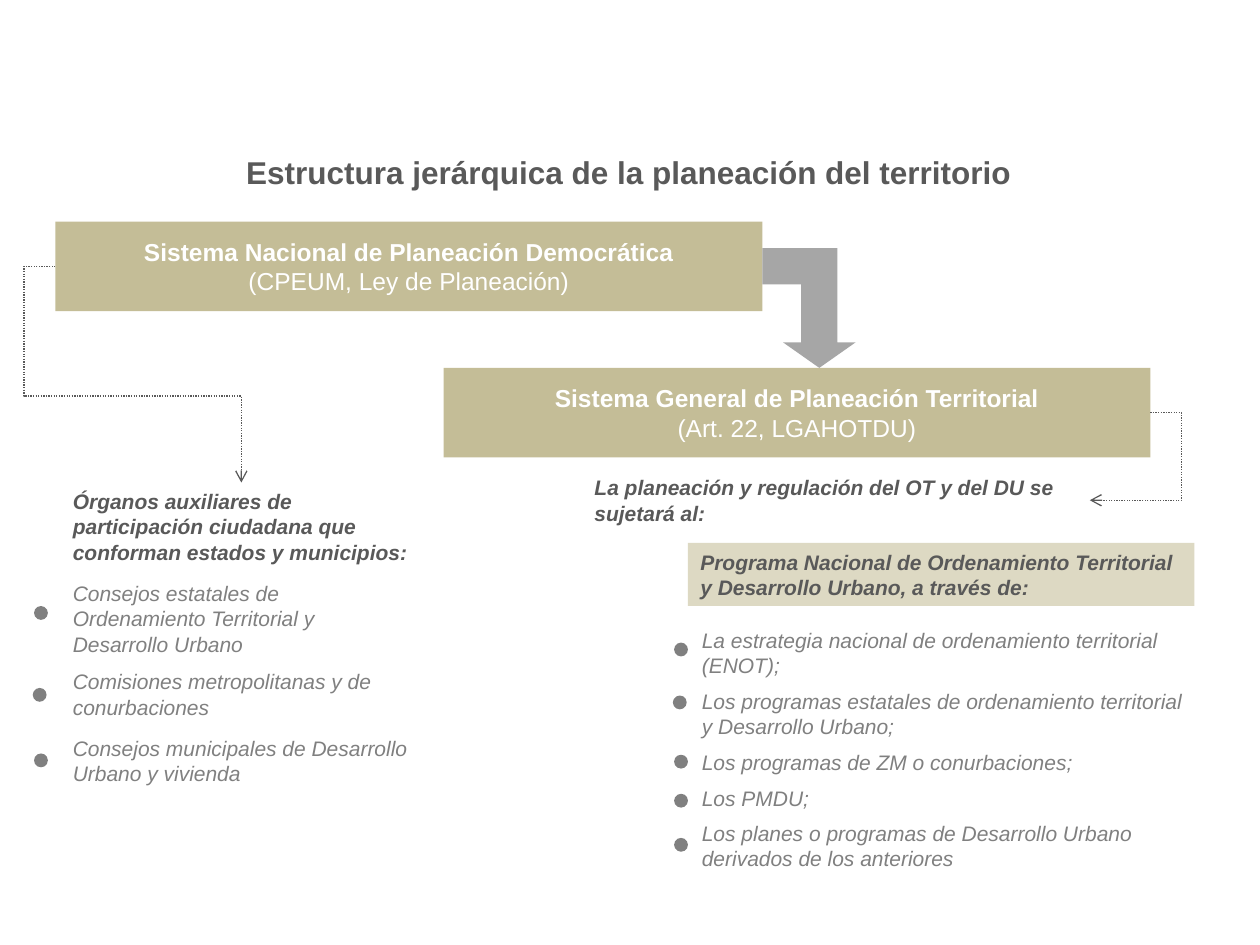
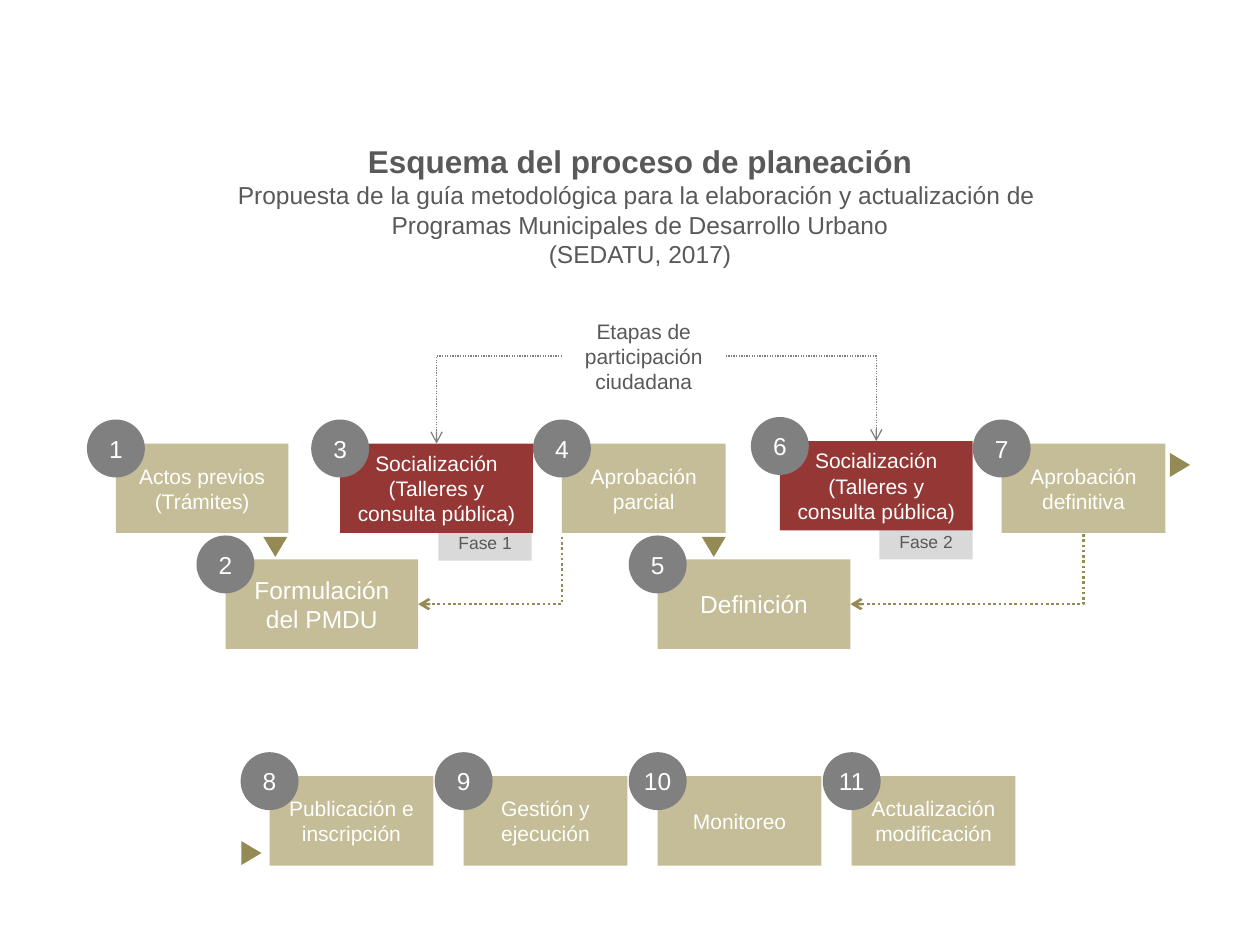
from lxml.etree import SubElement
from pptx import Presentation
from pptx.dml.color import RGBColor
from pptx.enum.dml import MSO_LINE
from pptx.enum.shapes import MSO_CONNECTOR, MSO_SHAPE
from pptx.enum.text import MSO_ANCHOR, MSO_AUTO_SIZE, PP_ALIGN
from pptx.oxml.ns import qn
from pptx.util import Inches, Pt

WHITE = RGBColor(0xFF, 0xFF, 0xFF)
SAND = RGBColor(0xC4, 0xBD, 0x97)
PALE = RGBColor(0xDD, 0xD9, 0xC3)
OLIVE = RGBColor(0x94, 0x8A, 0x54)
RED = RGBColor(0x95, 0x37, 0x35)
DARK = RGBColor(0x59, 0x59, 0x59)
GREY = RGBColor(0x80, 0x80, 0x80)
MID = RGBColor(0xA6, 0xA6, 0xA6)
LIGHT = RGBColor(0xD9, 0xD9, 0xD9)

FONT = "Arial"
BOX_H = 0.71  # height of all process boxes
DISC = 0.46   # number badges
DOT = 0.11    # list markers


# Text
def write(frame, lines, size, color, bold=False, italic=False,
          align=PP_ALIGN.LEFT, after=0):
    """Fill a frame; a line is a string or (string, size, bold)."""
    frame.word_wrap = True
    for i, line in enumerate(lines):
        text, pts, heavy = (line, size, bold) if isinstance(line, str) else line
        para = frame.paragraphs[0] if i == 0 else frame.add_paragraph()
        para.alignment = align
        para.space_before, para.space_after = Pt(0), Pt(after)
        run = para.add_run()
        run.text = text
        font = run.font
        font.name, font.size = FONT, Pt(pts)
        font.bold, font.italic = heavy, italic
        font.color.rgb = color


def place(shape, x, y, w, h):
    shape.left, shape.top = Inches(x), Inches(y)
    shape.width, shape.height = Inches(w), Inches(h)


def add_title(slide, x, y, w, h, lines):
    title = slide.shapes.title
    place(title, x, y, w, h)
    frame = title.text_frame
    frame.auto_size = MSO_AUTO_SIZE.NONE
    frame.vertical_anchor = MSO_ANCHOR.MIDDLE
    write(frame, lines, 18, DARK, bold=True, align=PP_ALIGN.CENTER)


def add_list(slide, x, y, w, h, lines):
    body = slide.placeholders[1]
    place(body, x, y, w, h)
    frame = body.text_frame
    frame.auto_size = MSO_AUTO_SIZE.NONE
    write(frame, lines, 12, GREY, italic=True, after=6)
    for para in frame.paragraphs:  # the markers are drawn as discs
        props = para._p.get_or_add_pPr()
        props.set("marL", "0")
        props.set("indent", "0")
        SubElement(props, qn("a:buNone"))


def add_note(slide, x, y, w, h, text, color, bold=False):
    note = slide.shapes.add_textbox(Inches(x), Inches(y), Inches(w), Inches(h))
    write(note.text_frame, [text], 12, color, bold=bold, italic=True)
    return note


# Shapes
def add_form(slide, kind, x, y, w, h, fill):
    form = slide.shapes.add_shape(
        kind, Inches(x), Inches(y), Inches(w), Inches(h))
    form.shadow.inherit = False
    form.fill.solid()
    form.fill.fore_color.rgb = fill
    form.line.fill.background()
    return form


def add_box(slide, x, y, w, h, fill, lines, size=12, color=WHITE):
    box = add_form(slide, MSO_SHAPE.RECTANGLE, x, y, w, h, fill)
    box.text_frame.vertical_anchor = MSO_ANCHOR.MIDDLE
    write(box.text_frame, lines, size, color, align=PP_ALIGN.CENTER)
    return box


def add_step(slide, num, x, y, w, lines, fill=SAND, size=12):
    """A process box with its number on the top left corner."""
    box = add_box(slide, x, y, w, BOX_H, fill, lines, size)
    disc = add_form(slide, MSO_SHAPE.OVAL, x - DISC / 2, y - 0.19,
                    DISC, DISC, GREY)
    frame = disc.text_frame
    frame.margin_left = frame.margin_right = 0
    frame.vertical_anchor = MSO_ANCHOR.MIDDLE
    write(frame, [str(num)], 14, WHITE, align=PP_ALIGN.CENTER)
    return box


def add_dots(slide, spots):
    for x, y in spots:
        add_form(slide, MSO_SHAPE.OVAL, x, y, DOT, DOT, GREY)


def add_wedge(slide, x, y, turn):
    wedge = add_form(slide, MSO_SHAPE.ISOSCELES_TRIANGLE, x, y,
                     0.19, 0.16, OLIVE)
    wedge.rotation = turn


# Bent connectors
def add_bend(slide, start, stop, color, width, bends, adjs=(),
             begin=None, end=None, tip="a:tailEnd"):
    """Dotted elbow; begin and end are (shape, site) pairs."""
    line = slide.shapes.add_connector(
        MSO_CONNECTOR.ELBOW, *[Inches(v) for v in (*start, *stop)])
    if begin:
        line.begin_connect(*begin)
    if end:
        line.end_connect(*end)
    line.line.color.rgb = color
    line.line.width = Pt(width)
    line.line.dash_style = MSO_LINE.ROUND_DOT
    props = line._element.spPr
    SubElement(props.find(qn("a:ln")), qn(tip)).set("type", "arrow")
    SubElement(props, qn("a:effectLst"))
    geom = props.find(qn("a:prstGeom"))
    geom.set("prst", f"bentConnector{bends}")
    guides = geom.find(qn("a:avLst"))
    for i, adj in enumerate(adjs, 1):
        guide = SubElement(guides, qn("a:gd"))
        guide.set("name", f"adj{i}")
        guide.set("fmla", f"val {round(adj * 100000)}")


def build_tree(slide):
    add_title(slide, 0.48, 1.01, 9.02, 0.71,
              ["Estructura jerárquica de la planeación del territorio"])

    # The two systems and the arrow between them
    nation = add_box(slide, 0.44, 1.76, 5.61, BOX_H, SAND, [
        ("Sistema Nacional de Planeación Democrática", 14, True),
        "(CPEUM, Ley de Planeación)"], 14)
    land = add_box(slide, 3.52, 2.92, 5.61, BOX_H, SAND, [
        ("Sistema General de Planeación Territorial", 14, True),
        "(Art. 22, LGAHOTDU)"], 14)
    arrow = add_form(slide, MSO_SHAPE.BENT_UP_ARROW, 6.05, 1.97, 0.74, 0.95,
                     MID)
    for i, adj in enumerate((0.388, 0.388, 0.273)):
        arrow.adjustments[i] = adj
    arrow._element.spPr.find(qn("a:xfrm")).set("flipV", "1")

    # Left: citizen bodies
    organs = add_note(
        slide, 0.48, 3.83, 2.87, BOX_H,
        "Órganos auxiliares de participación ciudadana que conforman "
        "estados y municipios:", DARK, bold=True)
    for y, h, text in (
            (4.56, 0.71, "Consejos estatales de Ordenamiento Territorial y "
                         "Desarrollo Urbano"),
            (5.26, 0.5, "Comisiones metropolitanas y de conurbaciones"),
            (5.79, 0.5, "Consejos municipales de Desarrollo Urbano y "
                        "vivienda")):
        add_note(slide, 0.48, y, 2.87, h, text, GREY)
    add_dots(slide, [(0.27, 4.81), (0.26, 5.46), (0.27, 5.98)])

    # Right: programmes
    rule = add_note(
        slide, 4.62, 3.72, 4.03, 0.5,
        "La planeación y regulación del OT y del DU se sujetará al:",
        DARK, bold=True)
    plan = add_form(slide, MSO_SHAPE.RECTANGLE, 5.46, 4.31, 4.02, 0.5, PALE)
    plan.text_frame.vertical_anchor = MSO_ANCHOR.TOP
    write(plan.text_frame,
          ["Programa Nacional de Ordenamiento Territorial y Desarrollo "
           "Urbano, a través de:"], 12, DARK, bold=True, italic=True)
    add_list(slide, 5.47, 4.93, 4.02, 2.05, [
        "La estrategia nacional de ordenamiento territorial (ENOT);",
        "Los programas estatales de ordenamiento territorial y Desarrollo "
        "Urbano;",
        "Los programas de ZM o conurbaciones;",
        "Los PMDU;",
        "Los planes o programas de Desarrollo Urbano derivados de los "
        "anteriores"])
    add_dots(slide, [(5.35, 5.1), (5.34, 5.52), (5.35, 5.99), (5.35, 6.3),
                     (5.35, 6.65)])

    # Dotted links
    add_bend(slide, (0.44, 2.12), (1.92, 3.83), DARK, 0.75, 4, (-0.17, 0.6),
             begin=(nation, 1), end=(organs, 0))
    add_bend(slide, (9.13, 3.27), (8.65, 3.97), DARK, 0.75, 3, (-0.52,),
             begin=(land, 3), end=(rule, 3))


def build_flow(slide):
    add_title(slide, 0.57, 1.17, 9.02, 0.92, [
        "Esquema del proceso de planeación",
        ("Propuesta de la guía metodológica para la elaboración y "
         "actualización de ", 14, False),
        ("Programas Municipales de Desarrollo Urbano", 14, False),
        ("(SEDATU, 2017)", 14, False)])

    # Phase tabs sit behind the red boxes
    for x, y, text in ((6.98, 4.15, "Fase 2"), (3.48, 4.16, "Fase 1")):
        add_box(slide, x, y, 0.74, 0.29, LIGHT, [text], 10, DARK)

    # Steps 1 to 7
    talks = ["Socialización", "(Talleres y consulta pública)"]
    add_step(slide, 1, 0.92, 3.52, 1.37, ["Actos previos", "(Trámites)"])
    draft = add_step(slide, 2, 1.79, 4.44, 1.53, ["Formulación del PMDU"],
                     size=14)
    first = add_step(slide, 3, 2.7, 3.52, 1.53, talks, RED)
    add_step(slide, 4, 4.46, 3.52, 1.3, ["Aprobación parcial"])
    final = add_step(slide, 5, 5.22, 4.44, 1.53, ["Definición"], size=14)
    second = add_step(slide, 6, 6.19, 3.5, 1.53, talks, RED)
    close = add_step(slide, 7, 7.95, 3.52, 1.3, ["Aprobación definitiva"])

    # Steps 8 to 11
    for i, text in enumerate(("Publicación e inscripción",
                              "Gestión y ejecución", "Monitoreo",
                              "Actualización modificación")):
        add_step(slide, 8 + i, 2.14 + 1.54 * i, 6.16, 1.3, [text])

    # Direction marks
    for x, y, turn in ((2.09, 4.26, 180), (5.57, 4.26, 180),
                       (9.27, 3.61, 90), (1.9, 6.69, 90)):
        add_wedge(slide, x, y, turn)

    # Returns to the lower boxes
    add_bend(slide, (4.46, 4.26), (3.32, 4.8), OLIVE, 1.5, 3, (0,),
             end=(draft, 3))
    add_bend(slide, (6.75, 4.8), (8.6, 4.23), OLIVE, 1.5, 2,
             begin=(final, 3), end=(close, 2), tip="a:headEnd")

    # Citizen stages
    stage = add_box(slide, 4.46, 2.47, 1.3, BOX_H, WHITE,
                    ["Etapas de participación ciudadana"], color=DARK)
    for box, site, x, end_x in ((first, 1, 4.46, 3.46),
                                (second, 3, 5.76, 6.96)):
        add_bend(slide, (x, 2.82), (end_x, 3.52), GREY, 0.75, 2,
                 begin=(stage, site), end=(box, 0))


def main():
    deck = Presentation()
    deck.slide_width, deck.slide_height = Inches(10), Inches(7.5)
    build_tree(deck.slides.add_slide(deck.slide_layouts[1]))
    build_flow(deck.slides.add_slide(deck.slide_layouts[5]))
    deck.save("out.pptx")


if __name__ == "__main__":
    main()
